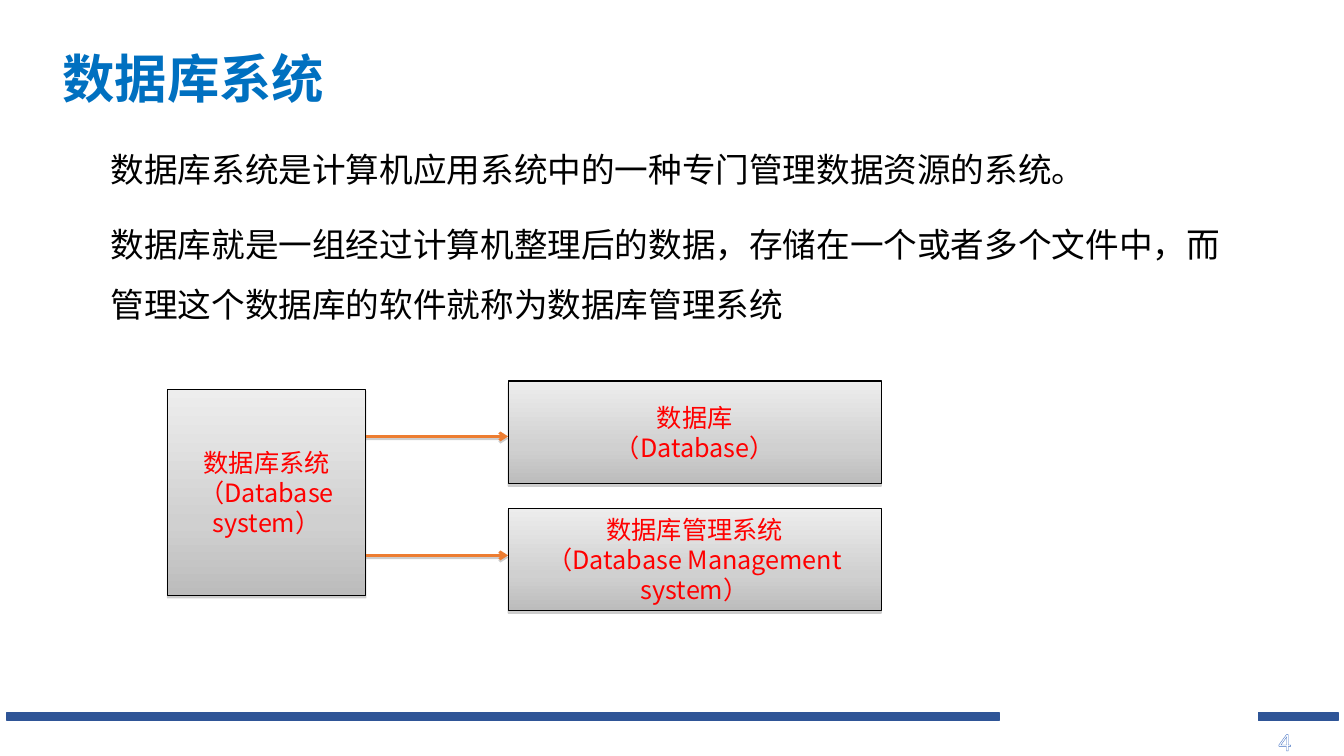
import pptx
import pptx.util
import pptx.dml.color
import pptx.enum.shapes
import pptx.enum.text
import pptx.oxml
import pptx.oxml.ns

Inches, Pt = pptx.util.Inches, pptx.util.Pt
RECT = pptx.enum.shapes.MSO_SHAPE.RECTANGLE
STRAIGHT = pptx.enum.shapes.MSO_CONNECTOR.STRAIGHT
MIDDLE = pptx.enum.text.MSO_ANCHOR.MIDDLE
CENTER = pptx.enum.text.PP_ALIGN.CENTER
LEFT = pptx.enum.text.PP_ALIGN.LEFT
NS = pptx.oxml.ns.nsdecls("a")

FONT = "Noto Sans CJK SC"
TITLE = "数据库系统"
STATEMENTS = [
    "数据库系统是计算机应用系统中的一种专门管理数据资源的系统。",
    "数据库就是一组经过计算机整理后的数据，存储在一个或者多个文件中，而管理这个数据库的软件就称为数据库管理系统",
]
SYSTEM = ["数据库系统", "（Database system）"]
PARTS = [
    ["数据库", "（Database）"],
    ["数据库管理系统", "（Database Management system）"],
]
PAGE_NUMBER = "4"
FOOTER_BARS = [(0.07, 9.84), (12.48, 0.79)]
GRADIENT = [(0, "EDEDED"), (65, "D0D0D0"), (100, "BCBCBC")]

SYSTEM_LEFT, SYSTEM_TOP, SYSTEM_WIDTH, SYSTEM_HEIGHT = 1.66, 3.86, 1.97, 2.05
PART_LEFT, PART_TOP, PART_WIDTH, PART_HEIGHT, PART_STEP = 5.04, 3.78, 3.7, 1.02, 1.26
ARROW_TOP, ARROW_STEP = 4.33, 1.18


def color(value):
    return pptx.dml.color.RGBColor.from_string(value)


def element(xml):
    return pptx.oxml.parse_xml(xml)


def add_shadow(properties):
    effects = properties.find(pptx.oxml.ns.qn("a:effectLst"))
    if effects is None:
        effects = element(f"<a:effectLst {NS}/>")
        properties.append(effects)
    effects.append(element(
        f'<a:outerShdw {NS} blurRad="0" dist="{Pt(1.6)}" dir="5400000" rotWithShape="0">'
        '<a:srgbClr val="808080"><a:alpha val="38000"/></a:srgbClr></a:outerShdw>'))


def write(frame, lines, size, ink, align=LEFT, bold=False, spacing=None, before=0, indent=0):
    frame.word_wrap = True
    for index, line in enumerate(lines):
        paragraph = frame.paragraphs[0] if index == 0 else frame.add_paragraph()
        paragraph.text = line
        paragraph.alignment = align
        if spacing:
            paragraph.line_spacing = spacing
        if before and index:
            paragraph.space_before = Pt(before)
        properties = paragraph._p.get_or_add_pPr()
        properties.set("marL", str(Inches(indent)))
        properties.set("indent", "0")
        font = paragraph.font
        font.size = Pt(size)
        font.bold = bold
        font.color.rgb = color(ink)
        font.name = FONT
        font._element.append(element(f'<a:ea {NS} typeface="{FONT}"/>'))


def add_text_box(slide, left, top, width, height):
    return slide.shapes.add_textbox(
        Inches(left), Inches(top), Inches(width), Inches(height)).text_frame


def add_box(slide, left, top, width, height, lines):
    box = slide.shapes.add_shape(RECT, Inches(left), Inches(top), Inches(width), Inches(height))
    box.shadow.inherit = False
    box.line.color.rgb = color("000000")
    box.line.width = Pt(0.75)
    stops = "".join(f'<a:gs pos="{position * 1000}"><a:srgbClr val="{tone}"/></a:gs>'
                    for position, tone in GRADIENT)
    box._element.spPr.find(pptx.oxml.ns.qn("a:prstGeom")).addnext(element(
        f'<a:gradFill {NS} rotWithShape="1"><a:gsLst>{stops}</a:gsLst>'
        '<a:lin ang="5400000" scaled="0"/></a:gradFill>'))
    add_shadow(box._element.spPr)
    box.text_frame.vertical_anchor = MIDDLE
    write(box.text_frame, lines, 18, "FF0000", CENTER)


def add_arrow(slide, top):
    arrow = slide.shapes.add_connector(
        STRAIGHT, Inches(SYSTEM_LEFT + SYSTEM_WIDTH), Inches(top), Inches(PART_LEFT), Inches(top))
    arrow.line.color.rgb = color("ED7D31")
    arrow.line.width = Pt(2)
    arrow.line._get_or_add_ln().append(element(f'<a:tailEnd {NS} type="arrow"/>'))
    add_shadow(arrow._element.spPr)


def add_footer(slide):
    for left, width in FOOTER_BARS:
        bar = slide.shapes.add_shape(RECT, Inches(left), Inches(7.07), Inches(width), Inches(0.08))
        bar.shadow.inherit = False
        bar.fill.solid()
        bar.fill.fore_color.rgb = color("2F5597")
        bar.line.color.rgb = color("2F5597")
        bar.line.width = Pt(1)
    number = add_text_box(slide, 12.58, 7.15, 0.69, 0.4).paragraphs[0].add_run()
    number.text = PAGE_NUMBER
    number.font.size = Pt(18)
    number.font.name = "Calibri"
    properties = number._r.get_or_add_rPr()
    properties.insert(0, element(
        f'<a:pattFill {NS} prst="ltDnDiag"><a:fgClr><a:srgbClr val="8FAADC"/></a:fgClr>'
        '<a:bgClr><a:srgbClr val="FFFFFF"/></a:bgClr></a:pattFill>'))
    properties.insert(0, element(
        f'<a:ln {NS} w="{Pt(1)}"><a:solidFill><a:srgbClr val="4472C4"/></a:solidFill></a:ln>'))


def main():
    deck = pptx.Presentation()
    deck.slide_width, deck.slide_height = Inches(13.33), Inches(7.5)
    slide = deck.slides.add_slide(deck.slide_layouts[6])

    add_footer(slide)

    heading = add_text_box(slide, 0.47, 0.18, 12, 1.25)
    heading.vertical_anchor = MIDDLE
    heading.margin_left = heading.margin_right = Inches(0.15)
    heading.margin_top = heading.margin_bottom = Inches(0.07)
    write(heading, [TITLE], 37.4, "0070C0", bold=True, spacing=0.9)

    body = add_text_box(slide, 0.75, 1.23, 11.59, 5.6)
    write(body, STATEMENTS, 24, "000000", spacing=1.5, before=10, indent=0.25)

    add_box(slide, SYSTEM_LEFT, SYSTEM_TOP, SYSTEM_WIDTH, SYSTEM_HEIGHT, SYSTEM)
    for index, part in enumerate(PARTS):
        add_arrow(slide, ARROW_TOP + index * ARROW_STEP)
        add_box(slide, PART_LEFT, PART_TOP + index * PART_STEP, PART_WIDTH, PART_HEIGHT, part)

    deck.save("out.pptx")


if __name__ == "__main__":
    main()
